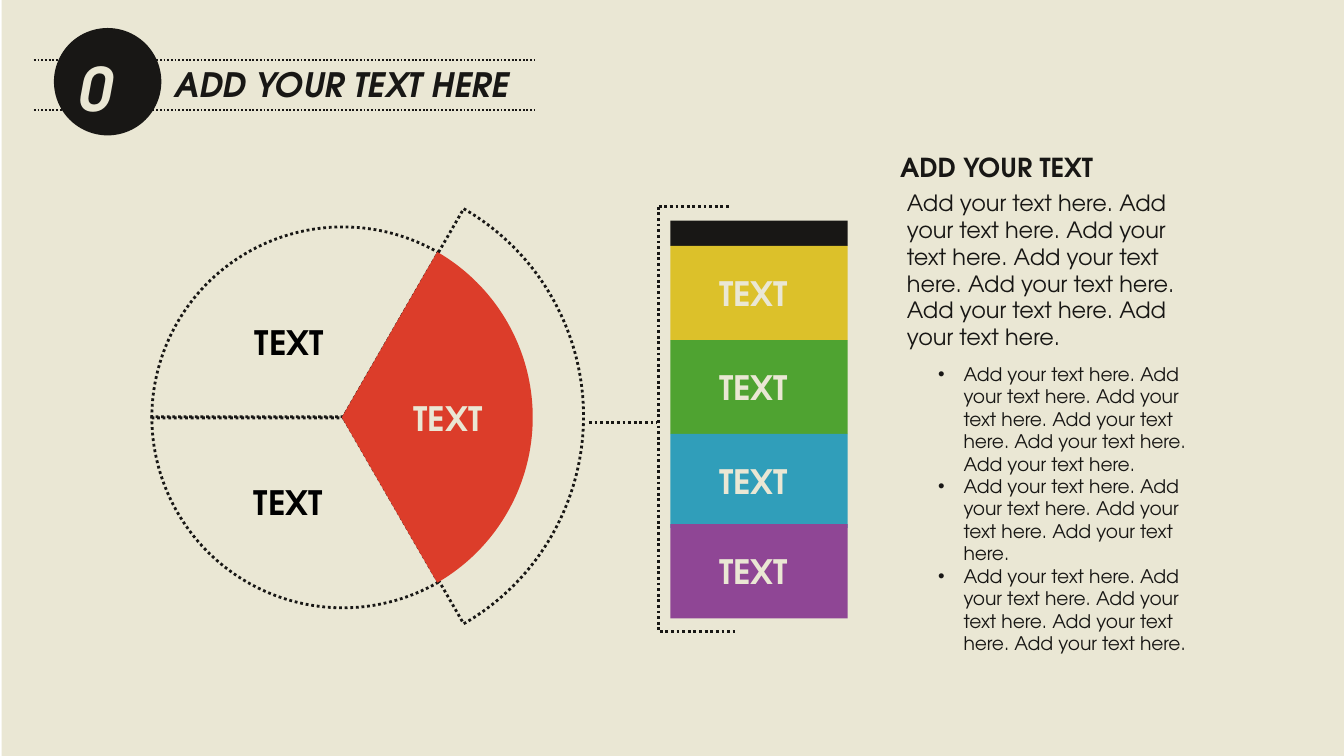
from dataclasses import dataclass
from typing import Optional

from lxml import etree
from pptx import Presentation
from pptx import util as u
from pptx.dml.color import RGBColor
from pptx.enum import dml, shapes, text
from pptx.oxml.ns import qn

FONT = "TeX Gyre Adventor"
COLORS = {
    "cream": "EAE7D4", "ink": "181715", "black": "000000", "red": "DC3D2A",
    "yellow": "DCC12A", "green": "4FA331", "blue": "309EBA", "purple": "8F4695",
}
SENTENCE = "Add your text here."
LABEL_W, LABEL_H = 2.01, 1.02


@dataclass
class Line:
    x1: float
    y1: float
    x2: float
    y2: float
    width: float = 1.5


@dataclass
class Sector:
    cx: float
    cy: float
    radius: float
    start: int
    end: int
    fill: Optional[str] = None


@dataclass
class Bar:
    top: float
    height: float
    color: str
    label: str = ""


@dataclass
class Label:
    x: float
    y: float
    color: str


def rgb(name: str) -> RGBColor:
    return RGBColor.from_string(COLORS[name])


def dotted(line, width: float) -> None:
    line.color.rgb = rgb("ink")
    line.width = u.Pt(width)
    line.dash_style = dml.MSO_LINE.ROUND_DOT


def add_line(s, ln: Line) -> None:
    c = s.shapes.add_connector(
        shapes.MSO_CONNECTOR.STRAIGHT,
        u.Cm(ln.x1), u.Cm(ln.y1), u.Cm(ln.x2), u.Cm(ln.y2))
    dotted(c.line, ln.width)
    etree.SubElement(c.line._get_or_add_ln().getparent(), qn("a:effectLst"))


def add_block(s, kind, x: float, y: float, w: float, h: float,
              fill: Optional[str]):
    """Add a preset shape: solid without outline, or dotted outline only."""
    sp = s.shapes.add_shape(kind, u.Cm(x), u.Cm(y), u.Cm(w), u.Cm(h))
    sp.shadow.inherit = False
    if fill:
        sp.fill.solid()
        sp.fill.fore_color.rgb = rgb(fill)
        sp.line.fill.background()
    else:
        sp.fill.background()
        dotted(sp.line, 1.5)
    return sp


def add_sector(s, sec: Sector) -> None:
    size = 2 * sec.radius
    sp = add_block(s, shapes.MSO_SHAPE.PIE, sec.cx - sec.radius,
                   sec.cy - sec.radius, size, size, sec.fill)
    # Pie angles are stored in 1/60000 degree, adjustments in 1/100000
    sp.adjustments[0] = sec.start * 0.6
    sp.adjustments[1] = sec.end * 0.6


def add_text(s, content: str, x: float, y: float, w: float, h: float, *,
             size: float = 18, color: str = "ink", bold: bool = False,
             italic: bool = False, wrap: bool = False,
             bullets: bool = False) -> None:
    """Add a text box; each line of content becomes a paragraph."""
    tf = s.shapes.add_textbox(u.Cm(x), u.Cm(y), u.Cm(w), u.Cm(h)).text_frame
    tf.word_wrap = wrap
    tf.auto_size = text.MSO_AUTO_SIZE.SHAPE_TO_FIT_TEXT
    for i, words in enumerate(content.split("\n")):
        p = tf.add_paragraph() if i else tf.paragraphs[0]
        if bullets:
            ppr = p._p.get_or_add_pPr()
            ppr.set("marL", str(u.Cm(0.48)))
            ppr.set("indent", str(-u.Cm(0.48)))
            clr = etree.SubElement(ppr, qn("a:buClr"))
            etree.SubElement(clr, qn("a:srgbClr"), val=COLORS[color])
            etree.SubElement(ppr, qn("a:buFont"), typeface="Arial")
            etree.SubElement(ppr, qn("a:buChar"), char="•")
        r = p.add_run()
        r.text = words
        r.font.name = FONT
        r.font.size = u.Pt(size)
        r.font.bold = bold
        r.font.italic = italic
        r.font.color.rgb = rgb(color)


def repeat(count: int) -> str:
    return " ".join([SENTENCE] * count)


def main() -> None:
    prs = Presentation()
    prs.slide_width, prs.slide_height = u.Cm(25.4), u.Cm(14.29)
    s = prs.slides.add_slide(prs.slide_layouts[6])
    rect, oval = shapes.MSO_SHAPE.RECTANGLE, shapes.MSO_SHAPE.OVAL

    # Backdrop
    add_block(s, rect, 0.03, 0, 25.37, 14.29, "cream")

    # Header with numbered disc
    for y in (1.14, 2.08):
        add_line(s, Line(0.64, y, 10.11, y, 1))
    add_block(s, oval, 1.02, 0.53, 2.03, 2.03, "ink")
    add_text(s, "ADD YOUR TEXT HERE", 3.05, 1.09, 6.83, 1.02,
             bold=True, italic=True)
    add_text(s, "01", 1.24, 0.86, 1.75, 1.63, size=32, color="cream",
             bold=True, italic=True)

    # Circle in thirds, with the right third highlighted
    for sec in (
        Sector(6.48, 7.9, 3.61, 180, 300),
        Sector(6.5, 7.87, 4.53, 300, 60),
        Sector(6.48, 7.88, 3.61, 60, 180),
        Sector(6.46, 7.89, 3.61, 300, 60, "red"),
    ):
        add_sector(s, sec)
    for lb in (Label(7.57, 7.39, "cream"), Label(4.57, 5.97, "black"),
               Label(4.55, 8.99, "black")):
        add_text(s, "TEXT", lb.x, lb.y, LABEL_W, LABEL_H,
                 color=lb.color, bold=True)

    # Bracket from the circle to the bars
    for ln in (
        Line(11.13, 7.98, 12.42, 7.98),
        Line(12.45, 3.91, 12.45, 11.94),
        Line(12.45, 3.91, 13.79, 3.91),
        Line(12.47, 11.94, 13.89, 11.94),
    ):
        add_line(s, ln)

    # Stacked bars
    bar_x, bar_w = 12.67, 3.35
    for bar in (
        Bar(4.17, 0.48, "ink"),
        Bar(4.65, 1.78, "yellow", "TEXT"),
        Bar(6.43, 1.78, "green", "TEXT"),
        Bar(8.2, 1.78, "blue", "TEXT"),
        Bar(9.91, 1.78, "purple", "TEXT"),
    ):
        add_block(s, rect, bar_x, bar.top, bar_w, bar.height, bar.color)
        if bar.label:
            add_text(s, bar.label, bar_x + (bar_w - LABEL_W) / 2,
                     bar.top + (bar.height - LABEL_H) / 2, LABEL_W, LABEL_H,
                     color="cream", bold=True)

    # Text column
    add_text(s, repeat(7), 16.89, 3.45, 5.99, 3.3, size=12, wrap=True)
    add_text(s, "ADD YOUR TEXT", 16.76, 2.74, 4.42, 0.86, size=14, bold=True)
    add_text(s, "\n".join(repeat(n) for n in (6, 4, 5)),
             17.48, 6.73, 5.44, 5.77, size=10, wrap=True, bullets=True)

    prs.save("out.pptx")


if __name__ == "__main__":
    main()
